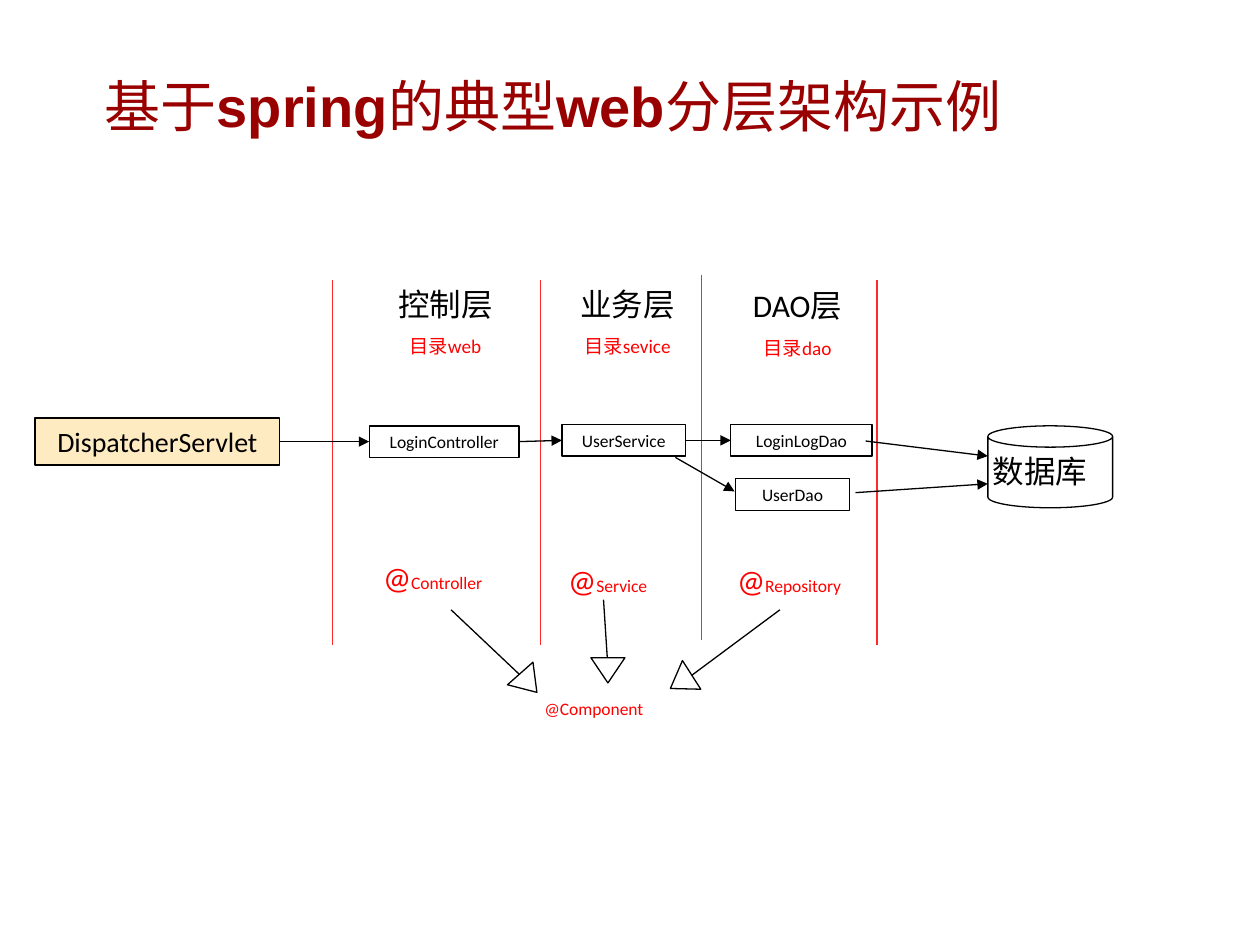
from lxml import etree
from pptx import Presentation
from pptx.dml.color import RGBColor
from pptx.enum.shapes import MSO_CONNECTOR, MSO_SHAPE
from pptx.enum.text import MSO_ANCHOR, MSO_AUTO_SIZE, PP_ALIGN
from pptx.oxml.ns import qn
from pptx.util import Inches, Pt

STRAIGHT = MSO_CONNECTOR.STRAIGHT
RECT, CAN, TRIANGLE = MSO_SHAPE.RECTANGLE, MSO_SHAPE.CAN, MSO_SHAPE.ISOSCELES_TRIANGLE
LEFT, CENTER = PP_ALIGN.LEFT, PP_ALIGN.CENTER
TOP, MIDDLE = MSO_ANCHOR.TOP, MSO_ANCHOR.MIDDLE
LATIN, CJK = "Calibri", "Noto Sans CJK SC"
COLORS = {"title": "990000", "ink": "000000", "red": "FF0000",
          "divider": "FF2929", "servlet": "FFEBC2"}

TITLE = [("基于", CJK), ("spring", "Arial"), ("的典型", CJK), ("web", "Arial"), ("分层架构示例", CJK)]
DIVIDERS = [(2.64, 2.22), (4.29, 2.22), (5.57, 2.18), (6.96, 2.22)]
DIVIDER_HEIGHT = 2.9
LAYERS = [
    ([("控制层", CJK)], "目录web", (3.07, 2.21, 0.93, 0.77)),
    ([("业务层", CJK)], "目录sevice", (4.49, 2.21, 0.98, 0.77)),
    ([("DAO", LATIN), ("层", CJK)], "目录dao", (5.83, 2.22, 1, 0.77)),
]
ANNOTATIONS = [("Controller", 2.99, 4.38), ("Service", 4.46, 4.4), ("Repository", 5.8, 4.4)]
CLASSES = [
    ("LoginController", (2.93, 3.38, 1.19, 0.25)),
    ("UserService", (4.46, 3.37, 0.98, 0.25)),
    ("LoginLogDao", (5.8, 3.37, 1.12, 0.25)),
    ("UserDao", (5.84, 3.8, 0.9, 0.25)),
]
CALL_CHAIN = ["DispatcherServlet", "LoginController", "UserService", "LoginLogDao"]
CALLS = [((5.36, 3.63), (5.83, 3.9)), ((6.87, 3.5), (7.84, 3.62)), ((6.79, 3.91), (7.84, 3.84))]
GENERALIZATIONS = [
    ((3.58, 4.84), (4.12, 5.35), (4.06, 5.32), 138.5),
    ((4.79, 4.76), (4.82, 5.22), (4.69, 5.22), 180),
    ((6.19, 4.84), (5.49, 5.36), (5.27, 5.31), 237.4),
]

prs = Presentation()
prs.slide_width, prs.slide_height = Inches(10), Inches(7.5)
slide = prs.slides.add_slide(prs.slide_layouts[5])
shapes = slide.shapes


def rgb(name):
    return RGBColor.from_string(COLORS[name])


def box(values):
    return [Inches(v) for v in values]


def set_frame(sp, inset, anchor=TOP, wrap=True):
    tf = sp.text_frame
    tf.word_wrap = wrap
    tf.auto_size = MSO_AUTO_SIZE.NONE
    tf.vertical_anchor = anchor
    tf.margin_left = tf.margin_right = tf.margin_top = tf.margin_bottom = Inches(inset)
    return tf


def add_run(p, text, size, font=LATIN, color="ink", bold=False):
    r = p.add_run()
    r.text = text
    r.font.size, r.font.name, r.font.bold = Pt(size), font, bold
    r.font.color.rgb = rgb(color)
    ea = etree.SubElement(r.font._element, qn("a:ea"))
    ea.set("typeface", CJK)


def add_outline(kind, at, fill=None, width=0.75):
    sp = shapes.add_shape(kind, *box(at))
    sp.shadow.inherit = False
    if fill:
        sp.fill.solid()
        sp.fill.fore_color.rgb = rgb(fill)
    else:
        sp.fill.background()
    sp.line.color.rgb = rgb("ink")
    sp.line.width = Pt(width)
    return sp


def add_box(text, at, size=10, inset=0.04, fill=None, width=0.75):
    sp = add_outline(RECT, at, fill, width)
    p = set_frame(sp, inset, wrap=False).paragraphs[0]
    p.alignment = CENTER
    add_run(p, text, size)
    return sp


def add_label(at):
    return set_frame(shapes.add_textbox(*box(at)), 0.05, wrap=False)


def add_line(start, end, color="ink", arrow=False):
    cx = shapes.add_connector(STRAIGHT, *box(start + end))
    cx.line.color.rgb = rgb(color)
    cx.line.width = Pt(0.75)
    if arrow:
        tail = etree.SubElement(cx.line._get_or_add_ln(), qn("a:tailEnd"))
        tail.set("type", "triangle")
    etree.SubElement(cx._element.spPr, qn("a:effectLst"))
    return cx


title = shapes.title
title.left, title.top, title.width, title.height = box((0.83, 0.36, 8.35, 0.95))
p = set_frame(title, 0, MIDDLE).paragraphs[0]
p.alignment = LEFT
for text, font in TITLE:
    add_run(p, text, 32, font, "title", font != CJK)

for x, y in DIVIDERS:
    add_line((x, y), (x, y + DIVIDER_HEIGHT), "divider")

for heading, folder, at in LAYERS:
    tf = add_label(at)
    p = tf.paragraphs[0]
    p.alignment = CENTER
    for text, font in heading:
        add_run(p, text, 18, font)
    p = tf.add_paragraph()
    p.alignment = CENTER
    p.space_before = Pt(7)
    add_run(p, folder, 11, color="red")

nodes = {name: add_box(name, at) for name, at in CLASSES}
nodes["DispatcherServlet"] = add_box(
    "DispatcherServlet", (0.28, 3.32, 1.94, 0.37), 16, 0.05, "servlet", 1)

database = add_outline(CAN, (7.84, 3.38, 0.99, 0.65))
database.adjustments[0] = 0.26
p = set_frame(database, 0.04).paragraphs[0]
p.alignment = LEFT
add_run(p, "数据库", 18, CJK)

for caller, callee in zip(CALL_CHAIN, CALL_CHAIN[1:]):
    cx = add_line((0, 0), (1, 1), arrow=True)
    cx.begin_connect(nodes[caller], 3)
    cx.end_connect(nodes[callee], 1)
for start, end in CALLS:
    add_line(start, end, arrow=True)

for name, x, y in ANNOTATIONS:
    p = add_label((x, y, 1.03, 0.39)).paragraphs[0]
    add_run(p, "@", 18, color="red")
    add_run(p, name, 10, color="red")
p = add_label((4.27, 5.49, 1.43, 0.25)).paragraphs[0]
add_run(p, "@Component", 10, color="red")

for start, end, corner, angle in GENERALIZATIONS:
    add_line(start, end)
    add_outline(TRIANGLE, corner + (0.27, 0.2)).rotation = angle

prs.save("out.pptx")
